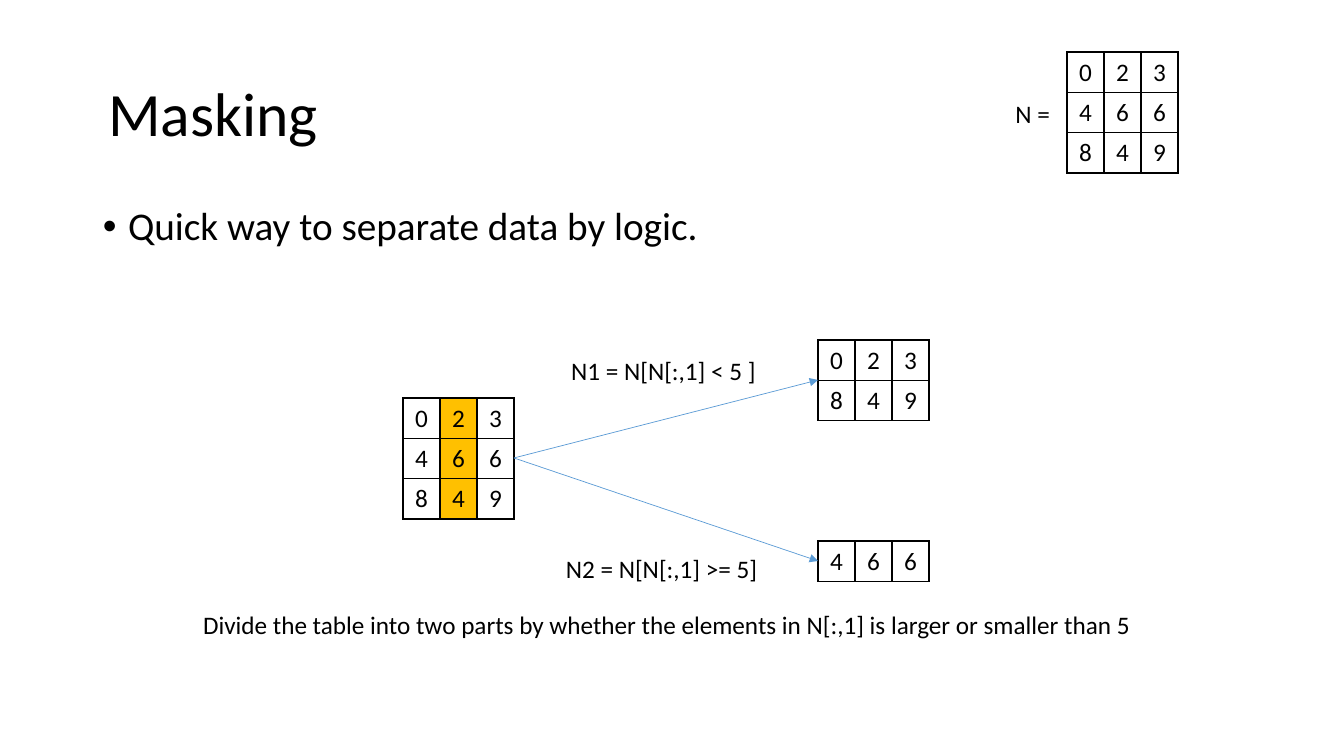
from dataclasses import dataclass
from typing import NamedTuple

from lxml import etree
from pptx import Presentation
from pptx import util as u
from pptx.dml.color import RGBColor
from pptx.enum import shapes, text
from pptx.oxml import ns

SCALE = 914400 / 100.8  # EMU per pixel


@dataclass(frozen=True)
class Theme:
    font: str = "Calibri"
    ink: RGBColor = RGBColor(0, 0, 0)
    arrow: RGBColor = RGBColor(0x5B, 0x9B, 0xD5)
    mask: RGBColor = RGBColor(0xFF, 0xC0, 0x00)
    title: int = 44
    body: int = 28
    label: int = 18
    border: float = 1
    arrow_width: float = 0.5


class Matrix(NamedTuple):
    left: int
    top: int
    rows: list[str]
    masked_column: int | None = None


class Label(NamedTuple):
    left: int
    top: int
    width: int
    words: str
    align: text.PP_ALIGN = text.PP_ALIGN.CENTER


THEME = Theme()
CELL_WIDTH, CELL_HEIGHT = 37, 40
LABEL_HEIGHT = 40


def px(pixels: float) -> u.Emu:
    return u.Emu(round(pixels * SCALE))


def style(paragraph, size: int, align=text.PP_ALIGN.LEFT) -> None:
    paragraph.alignment = align
    paragraph.font.name = THEME.font
    paragraph.font.size = u.Pt(size)
    paragraph.font.color.rgb = THEME.ink


def add_child(parent, tag: str, **attributes: str):
    return etree.SubElement(parent, ns.qn(tag), attributes)


def add_border(cell) -> None:
    properties = cell._tc.get_or_add_tcPr()
    for side in ("a:lnL", "a:lnR", "a:lnT", "a:lnB"):
        line = add_child(properties, side, w=str(u.Pt(THEME.border)))
        fill = add_child(line, "a:solidFill")
        add_child(fill, "a:srgbClr", val=str(THEME.ink))


def draw_matrix(slide, matrix: Matrix) -> None:
    row_count, column_count = len(matrix.rows), len(matrix.rows[0])
    table = slide.shapes.add_table(
        row_count, column_count, px(matrix.left), px(matrix.top),
        px(column_count * CELL_WIDTH), px(row_count * CELL_HEIGHT)).table
    table.first_row = table.horz_banding = False
    for r, digits in enumerate(matrix.rows):
        for c, digit in enumerate(digits):
            cell = table.cell(r, c)
            cell.text = digit
            style(cell.text_frame.paragraphs[0], THEME.label, text.PP_ALIGN.CENTER)
            add_border(cell)
            if c == matrix.masked_column:
                cell.fill.solid()
                cell.fill.fore_color.rgb = THEME.mask
            else:
                cell.fill.background()


def draw_label(slide, label: Label) -> None:
    frame = slide.shapes.add_textbox(
        px(label.left), px(label.top), px(label.width), px(LABEL_HEIGHT)).text_frame
    frame.word_wrap = False
    frame.auto_size = text.MSO_AUTO_SIZE.SHAPE_TO_FIT_TEXT
    frame.text = label.words
    style(frame.paragraphs[0], THEME.label, label.align)


def draw_arrow(slide, source: Matrix, result: Matrix) -> None:
    """Join the right middle of source to the left middle of result."""
    start_y, end_y = (m.top + len(m.rows) * CELL_HEIGHT / 2 for m in (source, result))
    arrow = slide.shapes.add_connector(
        shapes.MSO_CONNECTOR.STRAIGHT,
        px(source.left + len(source.rows[0]) * CELL_WIDTH), px(start_y),
        px(result.left), px(end_y))
    arrow.line.color.rgb = THEME.arrow
    arrow.line.width = u.Pt(THEME.arrow_width)
    add_child(arrow.line._get_or_add_ln(), "a:tailEnd", type="triangle")
    add_child(arrow._element.spPr, "a:effectLst")


def draw_title(slide, words: str) -> None:
    title = slide.shapes.title
    title.left, title.top, title.width, title.height = map(px, (98, 44, 1159, 146))
    title.text_frame.text = words
    title.text_frame.vertical_anchor = text.MSO_ANCHOR.MIDDLE
    heading = title.text_frame.paragraphs[0]
    heading.line_spacing = 0.9
    style(heading, THEME.title)


def draw_bullet(slide, words: str) -> None:
    frame = slide.shapes.add_textbox(*map(px, (93, 202, 1097, 480))).text_frame
    frame.word_wrap = True
    frame.text = words
    point = frame.paragraphs[0]
    point.line_spacing = 0.9
    point.space_before = u.Pt(10)
    style(point, THEME.body)
    properties = point._p.get_or_add_pPr()
    indent = u.Inches(0.25)
    properties.set("marL", str(indent))
    properties.set("indent", str(-indent))
    bullet_font = etree.Element(ns.qn("a:buFont"), typeface="Arial")
    bullet = etree.Element(ns.qn("a:buChar"), char="•")
    run_defaults = properties.find(ns.qn("a:defRPr"))
    run_defaults.addprevious(bullet_font)
    run_defaults.addprevious(bullet)


# Content
FULL_ROWS = ["023", "466", "849"]
n_matrix = Matrix(1067, 52, FULL_ROWS)
masked_n = Matrix(403, 398, FULL_ROWS, masked_column=1)
n1_matrix = Matrix(818, 340, ["023", "849"])
n2_matrix = Matrix(818, 541, ["466"])
labels = [
    Label(1005, 93, 61, "N = "),
    Label(556, 350, 215, "N1 = N[N[:,1] < 5 ]"),
    Label(556, 548, 222, "N2 = N[N[:,1] >= 5]", text.PP_ALIGN.LEFT),
    Label(187, 604, 960, "Divide the table into two parts by whether the elements "
                         "in N[:,1] is larger or smaller than 5"),
]

# Slide
presentation = Presentation()
presentation.slide_width, presentation.slide_height = px(1344), px(756)
masking = presentation.slides.add_slide(presentation.slide_layouts[5])
draw_title(masking, "Masking")
draw_bullet(masking, "Quick way to separate data by logic.")

# Matrices, split arrows and captions
for matrix in (n_matrix, masked_n, n1_matrix, n2_matrix):
    draw_matrix(masking, matrix)
for part in (n1_matrix, n2_matrix):
    draw_arrow(masking, masked_n, part)
for label in labels:
    draw_label(masking, label)

presentation.save("out.pptx")
